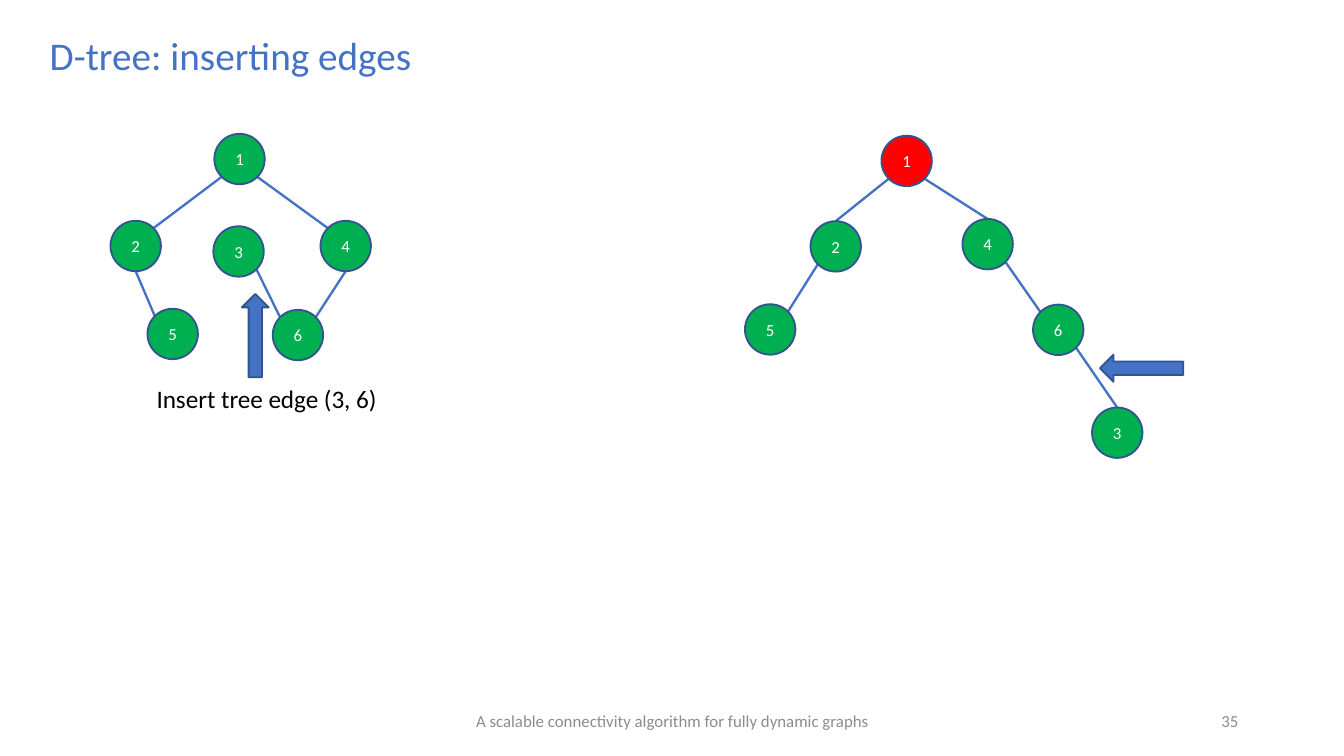
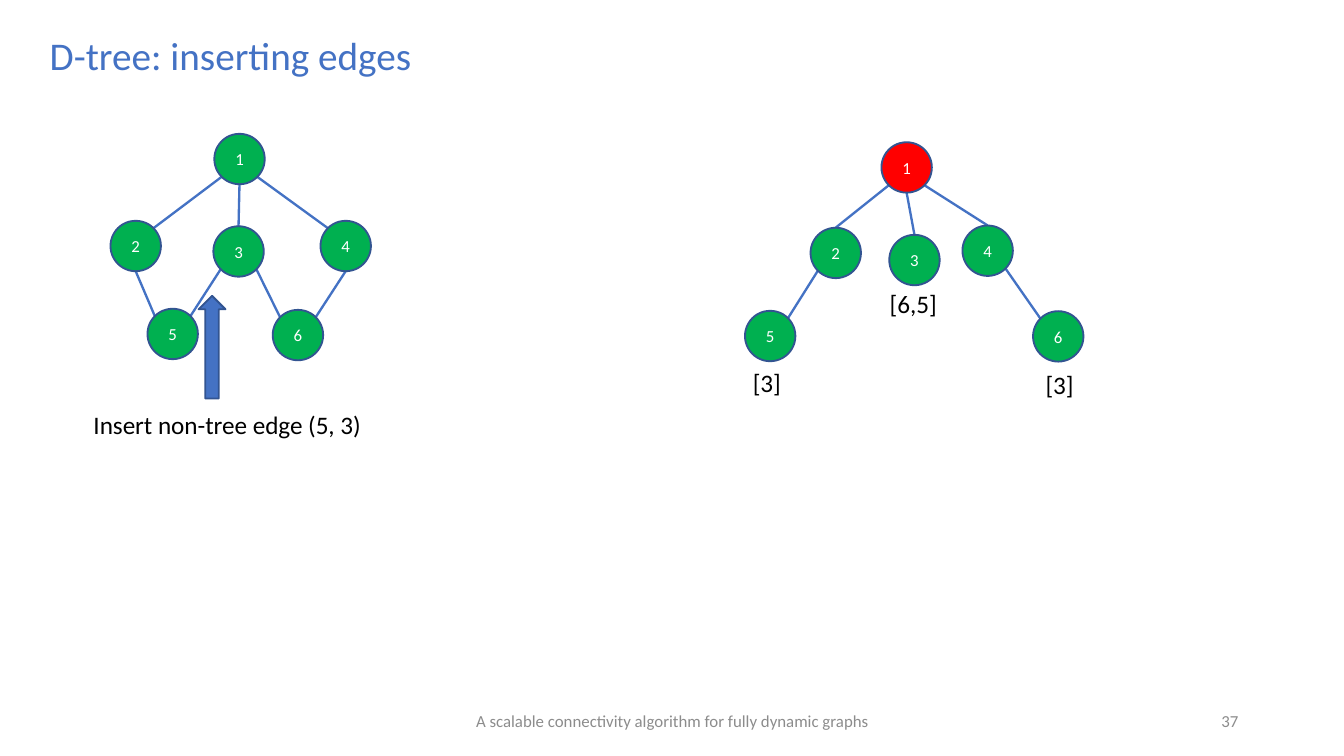
from pptx import Presentation
from pptx.dml.color import RGBColor as RGB
from pptx.enum.shapes import MSO_CONNECTOR as Line, MSO_SHAPE as Kind
from pptx.enum.text import MSO_ANCHOR as Anchor, PP_ALIGN as Align
from pptx.oxml.ns import qn
from pptx.util import Pt
from lxml.etree import SubElement

FONT = "Calibri"
BLUE, NAVY, GREEN, RED = "4472C4", "325491", "00B050", "FF0000"
GRAY, BLACK, WHITE = "8C8C8C", "000000", "FFFFFF"
TITLE = "D-tree: inserting edges"
FOOTER = "A scalable connectivity algorithm for fully dynamic graphs"
SIZE = 27  # node diameter

# Unit steps from a node's centre to the points where edges meet its rim
DIAG = 0.5 ** 0.5
SITES = {"t": (0, -1), "b": (0, 1),
         "tl": (-DIAG, -DIAG), "tr": (DIAG, -DIAG),
         "bl": (-DIAG, DIAG), "br": (DIAG, DIAG)}

# Node centres, and edges as (from, site, to, site)
GRAPH = {1: (128.3, 85.2), 2: (72.7, 131.8), 3: (127.8, 134.7),
         4: (185.2, 131.8), 5: (92.5, 178.9), 6: (159.6, 179.5)}
LINKS = [(1, "bl", 2, "tr"), (2, "b", 5, "tl"), (1, "br", 4, "tl"),
         (4, "b", 6, "tr"), (3, "br", 6, "tl")]
TREE = {1: (485.7, 86.2), 2: (447.7, 132), 4: (529.1, 130.8),
        5: (412.6, 176.5), 6: (566.9, 176.7)}
LIMBS = [(1, "bl", 2, "t"), (1, "br", 4, "t"),
         (2, "bl", 5, "tr"), (4, "br", 6, "tl")]


def color(code):
    """Turn a hex string into a colour."""
    return RGB.from_string(code)


def write(frame, text, size=13.5, hue=BLACK, align=Align.LEFT,
          anchor=Anchor.TOP, wrap=False):
    """Put one formatted line of text into a text frame."""
    frame.word_wrap = wrap
    frame.vertical_anchor = anchor
    para = frame.paragraphs[0]
    para.alignment = align
    run = para.add_run()
    run.text = text
    run.font.name = FONT
    run.font.size = Pt(size)
    run.font.color.rgb = color(hue)


def label(slide, text, left, top, width, height=23.8, **style):
    """Add a text box."""
    box = slide.shapes.add_textbox(Pt(left), Pt(top), Pt(width), Pt(height))
    write(box.text_frame, text, **style)


def solid(slide, kind, left, top, width, height, fill):
    """Add a filled shape with the shared outline."""
    shape = slide.shapes.add_shape(kind, Pt(left), Pt(top),
                                   Pt(width), Pt(height))
    shape.shadow.inherit = False
    shape.fill.solid()
    shape.fill.fore_color.rgb = color(fill)
    shape.line.color.rgb = color(NAVY)
    shape.line.width = Pt(1)
    return shape


def node(slide, name, spot, fill):
    """Add a numbered circle centred on a spot."""
    x, y = spot
    shape = solid(slide, Kind.OVAL, x - SIZE / 2, y - SIZE / 2,
                  SIZE, SIZE, fill)
    frame = shape.text_frame
    frame.margin_left = frame.margin_right = 0
    frame.margin_top = frame.margin_bottom = 0
    write(frame, str(name), size=9, hue=WHITE, align=Align.CENTER,
          anchor=Anchor.MIDDLE)


def rim(spot, site):
    """Find the point on a node's rim for a site."""
    return [Pt(c + step * SIZE / 2) for c, step in zip(spot, SITES[site])]


def edge(slide, start, end):
    """Add a line between two rim points."""
    line = slide.shapes.add_connector(Line.STRAIGHT, *start, *end)
    line.line.color.rgb = color(BLUE)
    line.line.width = Pt(1.25)
    SubElement(line._element.spPr, qn("a:effectLst"))


def net(slide, spots, links, root=GREEN):
    """Draw the edges and nodes of one graph; node 1 is its root."""
    for head, out, tail, into in links:
        edge(slide, rim(spots[head], out), rim(spots[tail], into))
    for name, spot in spots.items():
        node(slide, name, spot, root if name == 1 else GREEN)


def arrow(slide, left, top, height, turn=0):
    """Add a block arrow that points at the new edge."""
    shape = solid(slide, Kind.UP_ARROW, left, top, 14.4, height, BLUE)
    shape.rotation = turn


def page(deck, number):
    """Add a slide with the shared title and footer."""
    slide = deck.slides.add_slide(deck.slide_layouts[6])
    label(slide, TITLE, 19.6, 13, 211, 32.4, size=21, hue=BLUE)
    foot = dict(size=9, hue=GRAY, anchor=Anchor.MIDDLE, wrap=True)
    label(slide, FOOTER, 238.5, 375.4, 243, 21.6, align=Align.CENTER, **foot)
    label(slide, str(number), 508.5, 375.4, 162, 21.6, align=Align.RIGHT,
          **foot)
    return slide


def linked(deck):
    """Build the slide that inserts a tree edge."""
    slide = page(deck, 35)
    arrow(slide, 129.6, 157.5, 44.6)
    arrow(slide, 604.4, 175, 44.6, turn=270)
    net(slide, GRAPH, LINKS)
    net(slide, {**TREE, 3: (598.5, 231.8)}, LIMBS + [(6, "br", 3, "t")], RED)
    label(slide, "Insert tree edge (3, 6)", 76.8, 201.8, 134.6)


def extra(deck):
    """Build the slide that inserts a non-tree edge."""
    slide = page(deck, 37)
    arrow(slide, 106.4, 158.5, 55)
    net(slide, GRAPH, LINKS + [(1, "b", 3, "t"), (3, "bl", 5, "tr")])
    spots = {name: (x, y + 3.5) for name, (x, y) in TREE.items()}
    spots[3] = (489.9, 139.3)
    net(slide, spots, LIMBS + [(1, "b", 3, "t")], RED)
    label(slide, "Insert non-tree edge (5, 3)", 43, 216, 159.8)
    label(slide, "[6,5]", 469.6, 151.2, 40.3)
    label(slide, "[3]", 553, 194.2, 29.5)
    label(slide, "[3]", 396.2, 193.3, 29.5)


def main():
    """Build and save the deck."""
    deck = Presentation()
    deck.slide_width, deck.slide_height = Pt(720), Pt(405)
    linked(deck)
    extra(deck)
    deck.save("out.pptx")


main()
